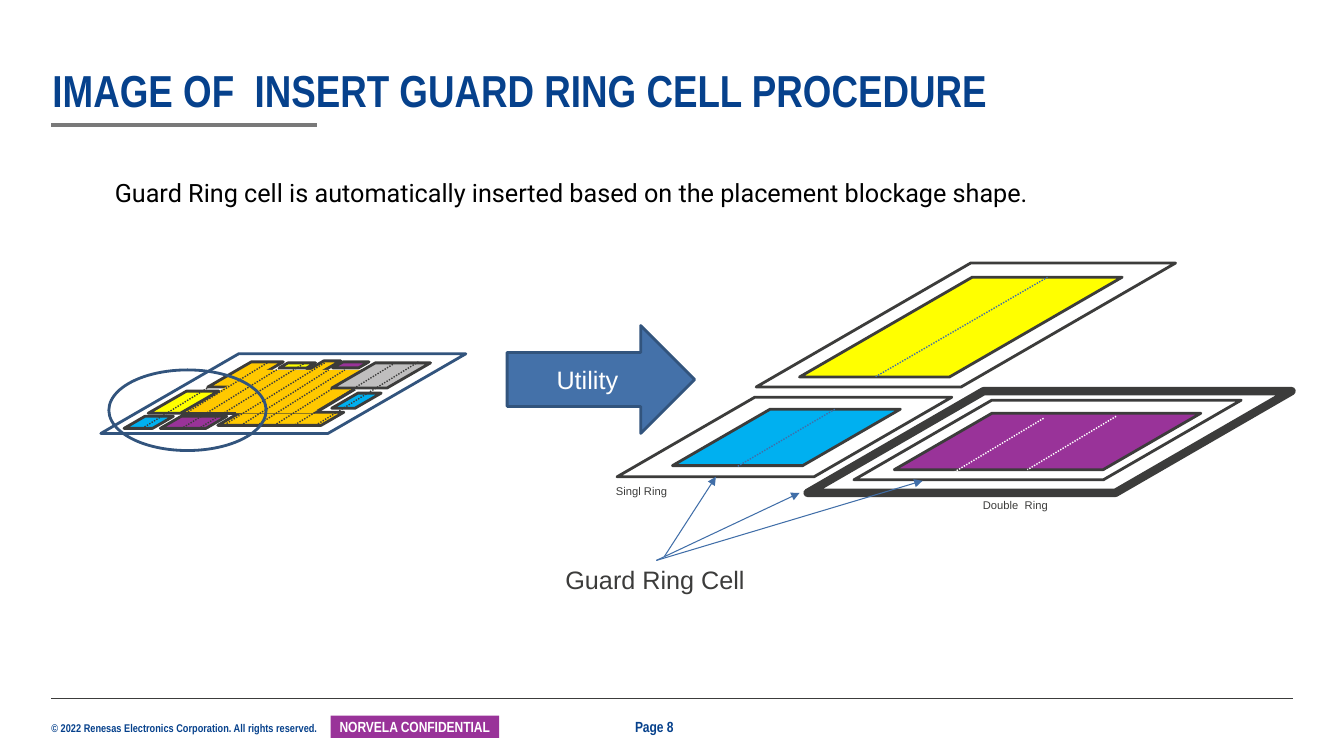
from lxml import etree
from pptx import Presentation, util as u
from pptx.dml.color import RGBColor
from pptx.enum import dml, shapes as s, text as t
from pptx.oxml.ns import qn

PX = 9144  # EMU per px, 100 px to the inch
INK, NAVY, EDGE, BLUE = "3C3C3B", "06418C", "32547D", "406EA8"
GOLD, YELLOW, CYAN, PURPLE, GREY = "FFC800", "FFFF00", "00B0F0", "993399", "BFBEBE"
WHITE = "FFFFFF"
NARROW = "Arial Narrow"

TITLE = "IMAGE OF  INSERT GUARD RING CELL PROCEDURE"
INTRO = "Guard Ring cell is automatically inserted based on the placement blockage shape."
RIGHTS = "© 2022 Renesas Electronics Corporation. All rights reserved."

# box, fill, line colour, line width
CHIP = [
    ((216, 409, 125, 13), GOLD, INK, 2),
    ((206, 359, 75, 25), GOLD, INK, 2),
    ((278, 358, 60, 25), GOLD, INK, 2),
    ((100, 351, 362, 79), None, EDGE, 2),
    ((179, 367, 205, 43), GOLD, None, 0),
    ((329, 360, 98, 25), GREY, INK, 2),
    ((147, 388, 70, 22), YELLOW, INK, 2),
    ((330, 359, 36, 6), PURPLE, INK, 2),
    ((277, 360, 36, 5), YELLOW, INK, 2),
    ((123, 413, 49, 12), CYAN, INK, 2),
    ((159, 413, 66, 12), PURPLE, INK, 2),
    ((329, 390, 49, 15), CYAN, INK, 2),
]
RINGS = [
    ((793, 275, 320, 99), YELLOW, INK, 2),
    ((667, 406, 226, 56), CYAN, INK, 2),
    ((887, 410, 304, 56), PURPLE, INK, 2),
    ((612, 394, 332, 79), None, INK, 2),
    ((847, 397, 384, 79), None, INK, 2),
    ((801, 388, 480, 101), None, INK, 6),
    ((750, 261, 416, 123), None, INK, 2),
]
EDGES = [((315, 408), (352, 386)), ((180, 410), (234, 410))]
# lower ends of the dotted cell rows, grouped by their common run and rise
ROWS = [
    ((87, -55), [(272, 422), (255, 422), (239, 422)]),
    ((102, -63), [(313, 422), (199, 424), (290, 423), (220, 423),
                  (182, 424), (163, 423), (141, 425)]),
]
SPLITS = [
    ((1039, 275), (868, 374), BLUE), ((828, 406), (731, 463), BLUE),
    ((1035, 415), (947, 468), WHITE), ((1107, 413), (1019, 466), WHITE),
]
POINTERS = [((659, 552), (710, 473)), ((651, 556), (915, 477)), ((651, 556), (793, 489))]
LABELS = [
    ("Guard Ring Cell", (551, 555, 200, 40), 18, False),
    ("Singl Ring", (601, 476, 71, 24), 8, True),
    ("Double  Ring", (965, 489, 89, 24), 8, True),
]

deck = Presentation()
deck.slide_width, deck.slide_height = 1333 * PX, 750 * PX
slide = deck.slides.add_slide(deck.slide_layouts[5])


def paint(fmt, color):
    if color:
        fmt.solid()
        fmt.fore_color.rgb = RGBColor.from_string(color)
    else:
        fmt.background()


def scale(box):
    return [v * PX for v in box]


def write(shape, words, size=18, font="Arial", color=INK, bold=False, wrap=True,
          align=t.PP_ALIGN.LEFT, anchor=t.MSO_ANCHOR.TOP, inset=(10, 5), spacing=None):
    frame = shape.text_frame
    frame.word_wrap, frame.vertical_anchor = wrap, anchor
    frame.auto_size = t.MSO_AUTO_SIZE.NONE
    frame.margin_left = frame.margin_right = inset[0] * PX
    frame.margin_top = frame.margin_bottom = inset[1] * PX
    para = frame.paragraphs[0]
    para.alignment = align
    if spacing:
        para.line_spacing = spacing
    run = para.add_run()
    run.text = words
    run.font.size, run.font.name, run.font.bold = u.Pt(size), font, bold
    run.font.color.rgb = RGBColor.from_string(color)


def label(words, box, **style):
    write(slide.shapes.add_textbox(*scale(box)), words, **style)


def draw(kind, box, fill=None, line=None, width=2):
    shape = slide.shapes.add_shape(kind, *scale(box))
    shape.shadow.inherit = False
    paint(shape.fill, fill)
    paint(shape.line.fill, line)
    if line:
        shape.line.width = u.Pt(width)
    return shape


def slant(cells):
    for box, fill, line, width in cells:
        cell = draw(s.MSO_SHAPE.PARALLELOGRAM, box, fill, line, width)
        cell.adjustments[0] = 1.73


def rule(start, end, color=INK, width=1, dots=False, arrow=False):
    link = slide.shapes.add_connector(s.MSO_CONNECTOR.STRAIGHT, *scale(start + end))
    paint(link.line.fill, color)
    link.line.width = u.Pt(width)
    if dots:
        link.line.dash_style = dml.MSO_LINE.ROUND_DOT
    if arrow:
        etree.SubElement(link.line._get_or_add_ln(), qn("a:tailEnd"), type="triangle")
    etree.SubElement(link._element.spPr, qn("a:effectLst"))


# Title and footer
title = slide.shapes.title
title.left, title.top, title.width, title.height = scale((52, 68, 1230, 48))
write(title, TITLE, size=32, font=NARROW, color=NAVY, bold=True,
      anchor=t.MSO_ANCHOR.BOTTOM, inset=(0, 0), spacing=0.9)
rule((51, 124), (314, 124), "797979", 3)
rule((51, 693), (1282, 693), INK, 0.5)
label(RIGHTS, (51, 716, 273, 13), size=8, font=NARROW, color=NAVY, bold=True,
      wrap=False, inset=(0, 0))
badge = draw(s.MSO_SHAPE.RECTANGLE, (328, 710, 167, 22), PURPLE)
write(badge, "NORVELA CONFIDENTIAL", size=10.5, font=NARROW, color=WHITE, bold=True,
      align=t.PP_ALIGN.CENTER, anchor=t.MSO_ANCHOR.MIDDLE, inset=(4, 0))
label("Page 8", (620, 707, 67, 28), size=10.5, font=NARROW, color=NAVY, bold=True,
      wrap=False)

# Chip before the utility runs
slant(CHIP)
label(INTRO, (104, 171, 960, 40), font="Roboto", color="000000")
for start, end in EDGES:
    rule(start, end, width=2.25)
for (run, rise), feet in ROWS:
    for x, y in feet:
        rule((x, y), (x + run, y + rise), dots=True)
draw(s.MSO_SHAPE.OVAL, (108, 367, 156, 80), line=EDGE)

# Guard rings after it
slant(RINGS)
arrow = draw(s.MSO_SHAPE.RIGHT_ARROW, (503, 323, 186, 107), "4471A9", EDGE)
write(arrow, "Utility", color=WHITE, align=t.PP_ALIGN.CENTER, anchor=t.MSO_ANCHOR.MIDDLE)
for start, end, color in SPLITS:
    rule(start, end, color, dots=True)
for start, end in POINTERS:
    rule(start, end, BLUE, 0.75, arrow=True)
for words, box, size, wrap in LABELS:
    label(words, box, size=size, wrap=wrap)

deck.save("out.pptx")
